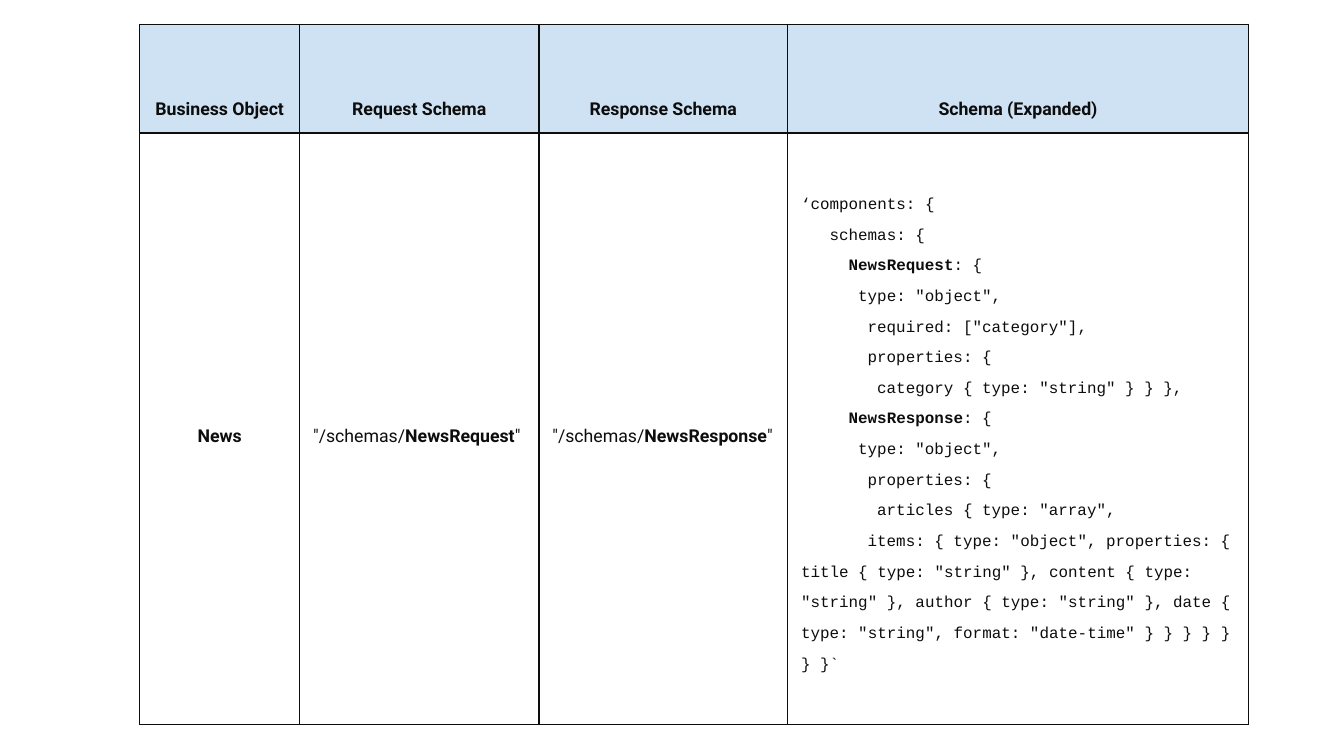
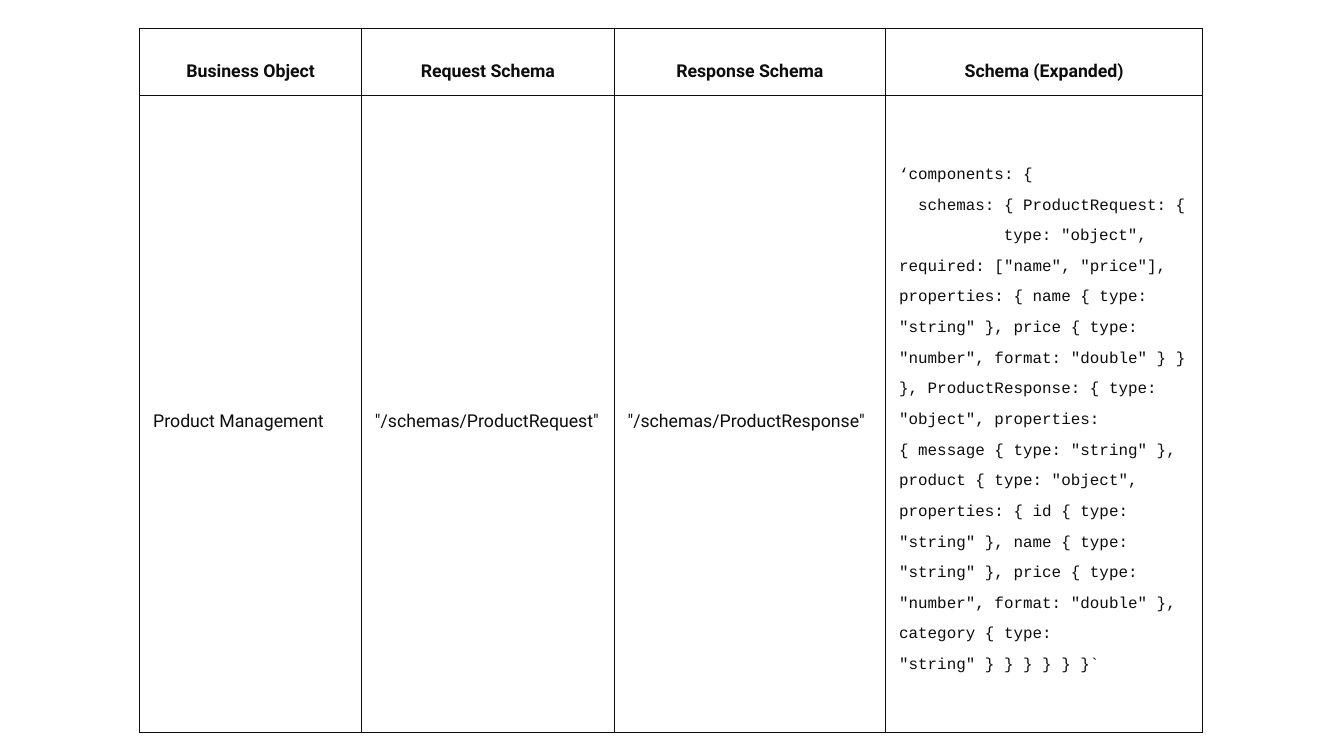
from lxml.etree import SubElement
from pptx import Presentation
from pptx.dml.color import RGBColor
from pptx.enum.text import MSO_ANCHOR, PP_ALIGN
from pptx.oxml.ns import qn
from pptx.util import Inches, Pt

COLORS = {"ink": "0D0D0D", "header": "CFE2F3"}
LABEL_FONT, CODE_FONT = ("Roboto", 9.5), ("Courier New", 8.5)
CODE_CHAR_WIDTH = 0.6 * CODE_FONT[1]
LINE_SPACING = 1.71
PADDING = 0.1
TABLE_LEFT = 1.04
BOLD_MARK, JOIN_MARK, FIXED_SPACE = "**", "~", chr(160)
HEADINGS = ["Business Object", "Request Schema", "Response Schema", "Schema (Expanded)"]

SCHEMAS = [
    {
        "top": 0.18,
        "columns": [1.19, 1.78, 1.85, 3.43],
        "rows": [0.81, 4.4],
        "header_fill": COLORS["header"],
        "object_align": PP_ALIGN.CENTER,
        "labels": ["**News**", '"/schemas/**NewsRequest**"', '"/schemas/**NewsResponse**"'],
        "code": [
            (0, "‘components: {"),
            (3, "schemas: {"),
            (5, "**NewsRequest**: {"),
            (6, 'type: "object",'),
            (7, 'required: ["category"],'),
            (7, "properties: {"),
            (8, 'category { type: "string" } } },'),
            (5, "**NewsResponse**: {"),
            (6, 'type: "object",'),
            (7, "properties: {"),
            (8, 'articles { type: "array",'),
            (7, 'items: { type: "object", properties: { title { type: "string" }, '
                'content { type: "string" }, author { type: "string" }, '
                'date { type: "string", format: "date-time" } } } } } } }`'),
        ],
    },
    {
        "top": 0.21,
        "columns": [1.65, 1.88, 2.02, 2.36],
        "rows": [0.5, 4.74],
        "header_fill": None,
        "object_align": PP_ALIGN.LEFT,
        "labels": ["Product Management", '"/schemas/ProductRequest"', '"/schemas/ProductResponse"'],
        "code": [
            (0, "‘components: {"),
            (2, "schemas: { ProductRequest: {"),
            (11, 'type: "object",'),
            (0, 'required: ["name", "price"], properties: { name { type: "string" }, '
                'price { type: "number", format: "double" } } }, '
                'ProductResponse: { type: "object", properties: '
                '{~message { type: "string" }, product { type: "object", '
                'properties: { id { type: "string" }, name { type: "string" }, '
                'price { type: "number", format: "double" }, '
                'category { type: "string"~}~}~}~}~}~}`'),
        ],
    },
]


def add_borders(cell):
    properties = cell._tc.get_or_add_tcPr()
    for side in ("a:lnL", "a:lnR", "a:lnT", "a:lnB"):
        line = SubElement(properties, qn(side), w=str(Pt(0.75)))
        SubElement(SubElement(line, qn("a:solidFill")), qn("a:srgbClr"), val=COLORS["ink"])


def fill_cell(cell, lines, font, align=PP_ALIGN.LEFT, anchor=MSO_ANCHOR.MIDDLE, fill=None):
    cell.margin_left = cell.margin_right = Inches(PADDING)
    cell.margin_top = cell.margin_bottom = Inches(PADDING)
    cell.vertical_anchor = anchor
    add_borders(cell)
    if fill:
        cell.fill.solid()
        cell.fill.fore_color.rgb = RGBColor.from_string(fill)
    else:
        cell.fill.background()
    frame = cell.text_frame
    for number, (indent, line) in enumerate(lines):
        paragraph = frame.add_paragraph() if number else frame.paragraphs[0]
        paragraph.alignment = align
        paragraph.line_spacing = LINE_SPACING
        if indent:
            layout = paragraph._p.get_or_add_pPr()
            layout.set("marL", "0")
            layout.set("indent", str(Pt(indent * CODE_CHAR_WIDTH)))
        for position, part in enumerate(line.split(BOLD_MARK)):
            if part:
                run = paragraph.add_run()
                run.text = part.replace(JOIN_MARK, FIXED_SPACE)
                run.font.name, size = font
                run.font.size = Pt(size)
                run.font.bold = position % 2 == 1
                run.font.color.rgb = RGBColor.from_string(COLORS["ink"])


def add_schema_slide(deck, schema):
    slide = deck.slides.add_slide(deck.slide_layouts[6])
    columns, rows = schema["columns"], schema["rows"]
    table = slide.shapes.add_table(
        len(rows), len(columns), Inches(TABLE_LEFT), Inches(schema["top"]),
        Inches(sum(columns)), Inches(sum(rows))).table
    table.first_row = table.horz_banding = False
    for column, width in zip(table.columns, columns):
        column.width = Inches(width)
    for row, height in zip(table.rows, rows):
        row.height = Inches(height)
    for index, heading in enumerate(HEADINGS):
        fill_cell(table.cell(0, index), [(0, BOLD_MARK + heading + BOLD_MARK)], LABEL_FONT,
                  PP_ALIGN.CENTER, MSO_ANCHOR.BOTTOM, schema["header_fill"])
    for index, label in enumerate(schema["labels"]):
        align = PP_ALIGN.LEFT if index else schema["object_align"]
        fill_cell(table.cell(1, index), [(0, label)], LABEL_FONT, align)
    fill_cell(table.cell(1, len(columns) - 1), schema["code"], CODE_FONT)


def main():
    """Build the schema slides."""
    deck = Presentation()
    deck.slide_width = Inches(10)
    deck.slide_height = deck.slide_width * 9 // 16
    for schema in SCHEMAS:
        add_schema_slide(deck, schema)
    deck.save("out.pptx")


if __name__ == "__main__":
    main()
